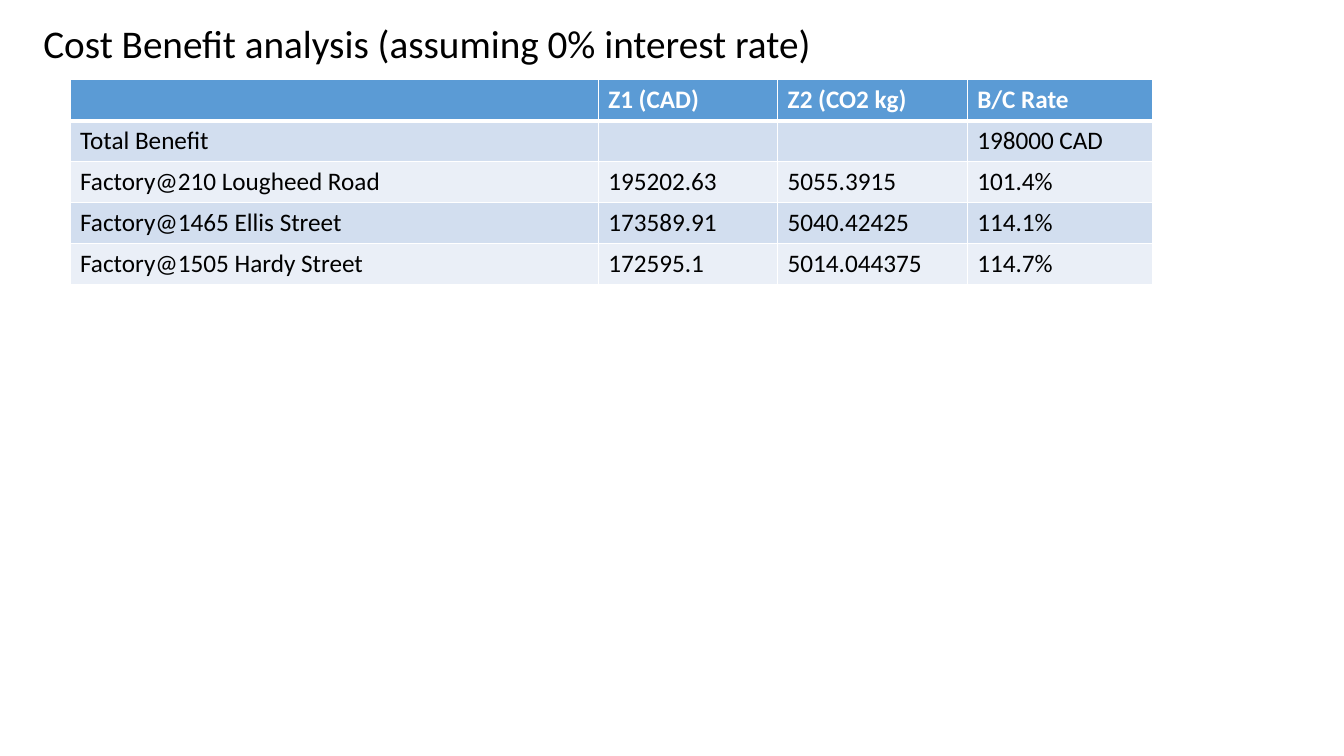
import pptx
import pptx.util
import pptx.dml.color
import pptx.enum.text
import pptx.oxml
import pptx.oxml.ns

Pt = pptx.util.Pt
RGBColor = pptx.dml.color.RGBColor

BLACK = RGBColor(0x00, 0x00, 0x00)
WHITE = RGBColor(0xFF, 0xFF, 0xFF)
HEADER_BLUE = RGBColor(0x5B, 0x9B, 0xD5)
BANDS = (RGBColor(0xD2, 0xDE, 0xEF), RGBColor(0xEA, 0xEF, 0xF7))

ROWS = [
    ("", "Z1 (CAD)", "Z2 (CO2 kg)", "B/C Rate"),
    ("Total Benefit", "", "", "198000 CAD"),
    ("Factory@210 Lougheed Road", "195202.63", "5055.3915", "101.4%"),
    ("Factory@1465 Ellis Street", "173589.91", "5040.42425", "114.1%"),
    ("Factory@1505 Hardy Street", "172595.1", "5014.044375", "114.7%"),
]
COL_WIDTHS = (377.3, 128.2, 135.4, 132.4)
ROW_HEIGHT = 29.2


class SlideBuilder:
    """Holds the style and the current slide; all lengths are in points."""

    font = "Calibri"

    def __init__(self, prs):
        self.s = prs.slides.add_slide(prs.slide_layouts[5])

    def style(self, p, size, color, bold=False):
        for r in p.runs:
            r.font.name = self.font
            r.font.size = Pt(size)
            r.font.bold = bold
            r.font.color.rgb = color

    def title(self, text, left, top, width, height):
        sp = self.s.shapes.title
        sp.left, sp.top, sp.width, sp.height = map(Pt, (left, top, width, height))
        tf = sp.text_frame
        tf.text = text
        tf.word_wrap = False
        tf.auto_size = pptx.enum.text.MSO_AUTO_SIZE.SHAPE_TO_FIT_TEXT
        tf.vertical_anchor = pptx.enum.text.MSO_ANCHOR.TOP
        p = tf.paragraphs[0]
        p.alignment = pptx.enum.text.PP_ALIGN.LEFT
        self.style(p, 28, BLACK)

    def border(self, cell, side, width):
        ln = pptx.oxml.parse_xml(
            f'<a:ln{side} {pptx.oxml.ns.nsdecls("a")} w="{Pt(width)}">'
            f'<a:solidFill><a:srgbClr val="{WHITE}"/></a:solidFill></a:ln{side}>')
        cell._tc.get_or_add_tcPr().append(ln)

    def table(self, rows, left, top, col_widths, row_height):
        frame = self.s.shapes.add_table(
            len(rows), len(col_widths), Pt(left), Pt(top),
            Pt(sum(col_widths)), Pt(row_height * len(rows)))
        table = frame.table
        for col, width in zip(table.columns, col_widths):
            col.width = Pt(width)
        for i, values in enumerate(rows):
            table.rows[i].height = Pt(row_height)
            for j, value in enumerate(values):
                self.cell(table.cell(i, j), value, i)

    def cell(self, cell, value, row):
        header = row == 0
        # Heavier rule between the header and the first row
        widths = {"L": 1, "R": 1, "T": 3 if row == 1 else 1, "B": 3 if header else 1}
        for side, width in widths.items():
            self.border(cell, side, width)
        cell.fill.solid()
        cell.fill.fore_color.rgb = HEADER_BLUE if header else BANDS[(row - 1) % 2]
        if value:
            cell.text = value
            self.style(cell.text_frame.paragraphs[0], 18,
                       WHITE if header else BLACK, header)


def main():
    prs = pptx.Presentation()
    prs.slide_width, prs.slide_height = Pt(960), Pt(540)
    slide = SlideBuilder(prs)

    # Cost table
    slide.table(ROWS, 50, 57, COL_WIDTHS, ROW_HEIGHT)

    # Heading
    slide.title("Cost Benefit analysis (assuming 0% interest rate)",
                23.8, 10.1, 568.8, 41)

    prs.save("out.pptx")


if __name__ == "__main__":
    main()
